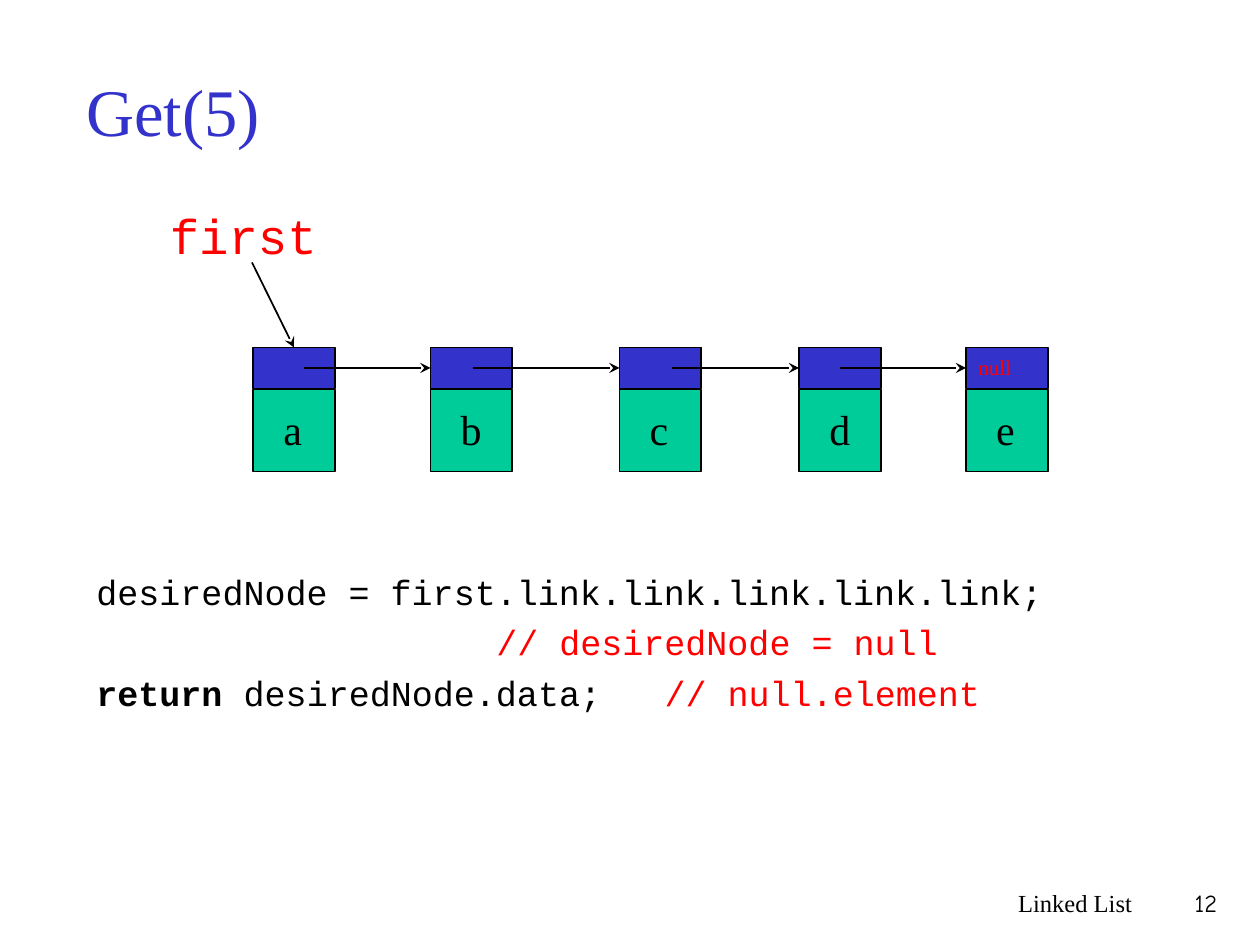
from itertools import pairwise

from lxml import etree
from pptx import Presentation
from pptx.dml.color import RGBColor
from pptx.enum.shapes import MSO_CONNECTOR, MSO_SHAPE
from pptx.enum.text import MSO_ANCHOR, MSO_AUTO_SIZE, PP_ALIGN
from pptx.oxml.ns import qn
from pptx.util import Inches, Pt

LEFT, RIGHT = PP_ALIGN.LEFT, PP_ALIGN.RIGHT
MIDDLE, TOP_ANCHOR = MSO_ANCHOR.MIDDLE, MSO_ANCHOR.TOP
NO_FIT = MSO_AUTO_SIZE.NONE
RECTANGLE = MSO_SHAPE.RECTANGLE
STRAIGHT = MSO_CONNECTOR.STRAIGHT
SIDE_TOP, SIDE_LEFT = 0, 1

COLORS = {
    "blue": "3333CC",
    "green": "00CC99",
    "red": "FF0000",
    "black": "000000",
}
SERIF, MONO, COMIC = "Times New Roman", "Courier New", "Comic Neue"

# The grid has 12 columns and 12 rows to the inch.
COLUMNS, ROWS = 120, 90
TITLE_ONLY = 5


def color(name):
    return RGBColor.from_string(COLORS[name])


class SlideBuilder:
    """Holds the style and the current slide; lengths are grid units."""

    def __init__(self, presentation):
        self.unit = presentation.slide_width / COLUMNS
        self.slide = presentation.slides.add_slide(
            presentation.slide_layouts[TITLE_ONLY])

    def grid(self, *lengths):
        return [round(length * self.unit) for length in lengths]

    def add_run(self, paragraph, text, size, ink="black", font=SERIF, bold=False):
        run = paragraph.add_run()
        run.text = text
        run.font.name = font
        run.font.size = Pt(size)
        run.font.bold = bold
        run.font.color.rgb = color(ink)

    def title(self, text, box):
        shape = self.slide.shapes.title
        shape.left, shape.top, shape.width, shape.height = self.grid(*box)
        frame = shape.text_frame
        frame.auto_size = NO_FIT
        frame.vertical_anchor = MIDDLE
        paragraph = frame.paragraphs[0]
        paragraph.alignment = LEFT
        self.add_run(paragraph, text, 38, "blue")

    def text(self, lines, box, size, font=SERIF, align=LEFT, gap=0, wrap=True):
        """Each line is a list of (text, color, bold) runs."""
        shape = self.slide.shapes.add_textbox(*self.grid(*box))
        frame = shape.text_frame
        frame.word_wrap = wrap
        frame.vertical_anchor = TOP_ANCHOR
        for index, runs in enumerate(lines):
            paragraph = frame.add_paragraph() if index else frame.paragraphs[0]
            paragraph.alignment = align
            if index:
                paragraph.space_before = Pt(gap)
            for text, ink, bold in runs:
                self.add_run(paragraph, text, size, ink, font, bold)

    def label(self, text, box, size, ink="black", **style):
        self.text([[(text, ink, False)]], box, size, **style)

    def rectangle(self, box, fill):
        shape = self.slide.shapes.add_shape(RECTANGLE, *self.grid(*box))
        shape.shadow.inherit = False
        shape.fill.solid()
        shape.fill.fore_color.rgb = color(fill)
        shape.line.color.rgb = color("black")
        shape.line.width = Pt(1)
        return shape

    def node(self, letter, left):
        """Draw a data cell under a link cell and return the link cell."""
        self.rectangle((left, 37.1, 7.8, 7.8), "green")
        link = self.rectangle((left, 33.1, 7.8, 3.9), "blue")
        self.label(letter, (left + 1.7, 37.8, 4.3, 6), 24, wrap=False)
        return link

    def arrow(self, start, end, target, side):
        connector = self.slide.shapes.add_connector(
            STRAIGHT, *self.grid(*start, *end))
        connector.end_connect(target, side)
        connector.line.color.rgb = color("black")
        connector.line.width = Pt(1)
        line = connector.line._get_or_add_ln()
        etree.SubElement(line, qn("a:tailEnd"), type="stealth")
        etree.SubElement(connector._element.spPr, qn("a:effectLst"))


def main():
    presentation = Presentation()
    presentation.slide_width = Inches(10)
    presentation.slide_height = Inches(7.5)
    builder = SlideBuilder(presentation)
    builder.title("Get(5)", (7, 3, 102, 15))

    # Code with its comments
    code = [
        [("desiredNode = first.link.link.link.link.link;", "black", False)],
        [("                   ", "black", False),
         ("// desiredNode = null", "red", False)],
        [("return ", "black", True),
         ("desiredNode.data;   ", "black", False),
         ("// null.element", "red", False)],
    ]
    builder.text(code, (8, 53.7, 104, 22.3), 20, font=MONO, gap=5)

    # Linked nodes
    node_lefts = {"a": 24.1, "b": 41, "c": 59, "d": 76.1, "e": 92}
    links = [builder.node(letter, left) for letter, left in node_lefts.items()]
    builder.label("null", (92, 33.2, 8, 3.6), 12, "red")

    # Arrows from each link cell to the next node
    arrow_starts = [29, 45, 64, 80]
    next_lefts = [following for _, following in pairwise(node_lefts.values())]
    for start, left, link in zip(arrow_starts, next_lefts, links[1:]):
        builder.arrow((start, 35.05), (left, 35.05), link, SIDE_LEFT)

    # Head of the list
    builder.label("first", (15, 19, 22, 6.8), 28, "red", font=MONO)
    builder.arrow((24, 25), (28, 33.1), links[0], SIDE_TOP)

    # Footer
    builder.label("Linked List", (71, ROWS - 6, 38, 6), 14, align=RIGHT)
    builder.label("12", (109, ROWS - 6, 8.1, 6), 14, font=COMIC, align=RIGHT)

    presentation.save("out.pptx")


if __name__ == "__main__":
    main()
